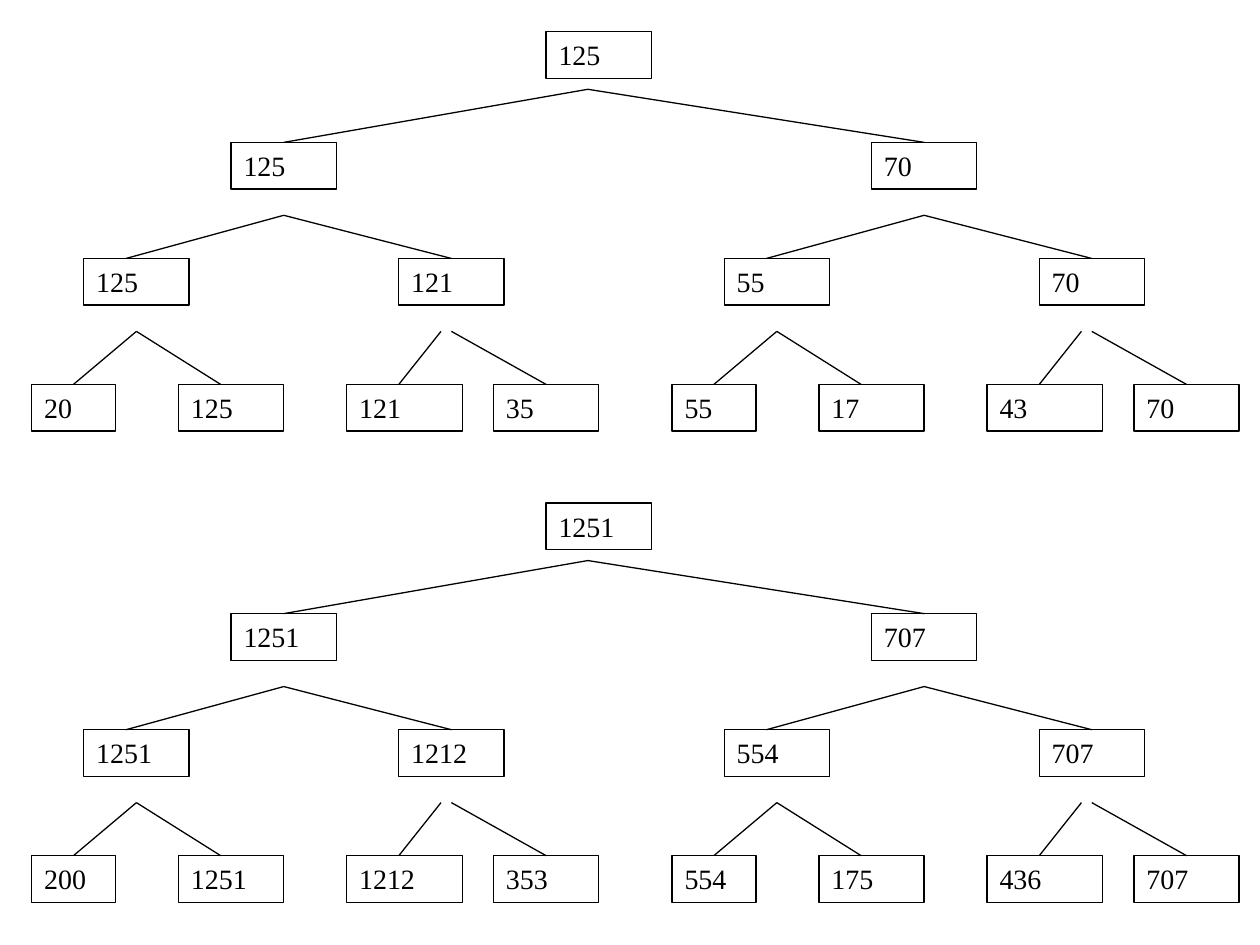
from lxml import etree
from pptx import Presentation
from pptx.dml.color import RGBColor
from pptx.enum.shapes import MSO_CONNECTOR
from pptx.enum.text import MSO_ANCHOR, MSO_AUTO_SIZE, PP_ALIGN
from pptx.oxml.ns import qn
from pptx.util import Cm, Pt

STRAIGHT = MSO_CONNECTOR.STRAIGHT
FIT_SHAPE = MSO_AUTO_SIZE.SHAPE_TO_FIT_TEXT
TOP = MSO_ANCHOR.TOP
LEFT = PP_ALIGN.LEFT
BLACK = RGBColor(0, 0, 0)

# All positions are in centimetres; a half tree repeats at HALF_STEP.
HALF_STEP = 12.91
TREE_STEP = 9.5
NODE_WIDTH, NODE_HEIGHT = 2.12, 0.94
ROOT_TOP, CHILD_TOP, MATCH_TOP, LEAF_TOP = 0.64, 2.87, 5.21, 7.75
ROOT_FORK, CHILD_FORK, MATCH_FORK = 1.8, 4.34, 6.68
ROOT_LEFT, CHILD_LEFT = 11.01, 4.66
ROOT_CENTRE, CHILD_CENTRE = 11.85, 5.72
MATCH_LEFTS = (1.69, 8.04)
LEAF_BOXES = ((0.64, 1.69), (3.6, NODE_WIDTH), (6.99, 2.33), (9.95, NODE_WIDTH))
CHILD_BRANCHES = ((CHILD_CENTRE, 2.54), (CHILD_CENTRE, 9.1))
LEAF_BRANCHES = ((2.75, 1.48), (2.75, 4.45), (8.89, 8.04), (9.1, 11.01))

TOURNAMENTS = (
    (20, 125, 121, 35, 55, 17, 43, 70),
    (200, 1251, 1212, 353, 554, 175, 436, 707),
)


class TreeSlide:
    """Draws winner trees in one style on one slide."""

    font_name = "Times New Roman"
    font_size = Pt(16)
    line_width = Pt(0.74)

    def __init__(self, slide):
        """Keep the slide to draw on."""
        self.shapes = slide.shapes

    def style_line(self, line):
        """Apply the common outline."""
        line.color.rgb = BLACK
        line.width = self.line_width

    def node(self, value, left, top, width=NODE_WIDTH):
        """Draw a framed value."""
        box = self.shapes.add_textbox(Cm(left), Cm(top), Cm(width), Cm(NODE_HEIGHT))
        self.style_line(box.line)
        frame = box.text_frame
        frame.word_wrap = True
        frame.auto_size = FIT_SHAPE
        frame.vertical_anchor = TOP
        paragraph = frame.paragraphs[0]
        paragraph.text = str(value)
        paragraph.alignment = LEFT
        paragraph.space_before = Pt(10)
        paragraph.font.name = self.font_name
        paragraph.font.size = self.font_size
        paragraph.font.color.rgb = BLACK

    def branch(self, start_x, start_y, end_x, end_y):
        """Draw a line from a parent down to a child."""
        edge = self.shapes.add_connector(
            STRAIGHT, Cm(start_x), Cm(start_y), Cm(end_x), Cm(end_y))
        self.style_line(edge.line)
        etree.SubElement(edge._element.spPr, qn("a:effectLst"))

    def half_tree(self, leaves, x, y):
        """Draw four leaves, their two winners and the winner of those."""
        for value, (left, width) in zip(leaves, LEAF_BOXES):
            self.node(value, x + left, y + LEAF_TOP, width)
        for pair, left in zip((leaves[:2], leaves[2:]), MATCH_LEFTS):
            self.node(max(pair), x + left, y + MATCH_TOP)
        self.node(max(leaves), x + CHILD_LEFT, y + CHILD_TOP)
        for start, end in CHILD_BRANCHES:
            self.branch(x + start, y + CHILD_FORK, x + end, y + MATCH_TOP)
        for start, end in LEAF_BRANCHES:
            self.branch(x + start, y + MATCH_FORK, x + end, y + LEAF_TOP)

    def tree(self, leaves, y):
        """Draw a whole winner tree over eight leaves."""
        for x, half in ((0, leaves[:4]), (HALF_STEP, leaves[4:])):
            self.half_tree(half, x, y)
            self.branch(ROOT_CENTRE, y + ROOT_FORK, x + CHILD_CENTRE, y + CHILD_TOP)
        self.node(max(leaves), ROOT_LEFT, y + ROOT_TOP)


def main():
    """Build the slide and save it."""
    presentation = Presentation()
    presentation.slide_width = Cm(25.4)
    presentation.slide_height = Cm(19.05)
    canvas = TreeSlide(presentation.slides.add_slide(presentation.slide_layouts[6]))
    for row, leaves in enumerate(TOURNAMENTS):
        canvas.tree(leaves, row * TREE_STEP)
    presentation.save("out.pptx")


main()
